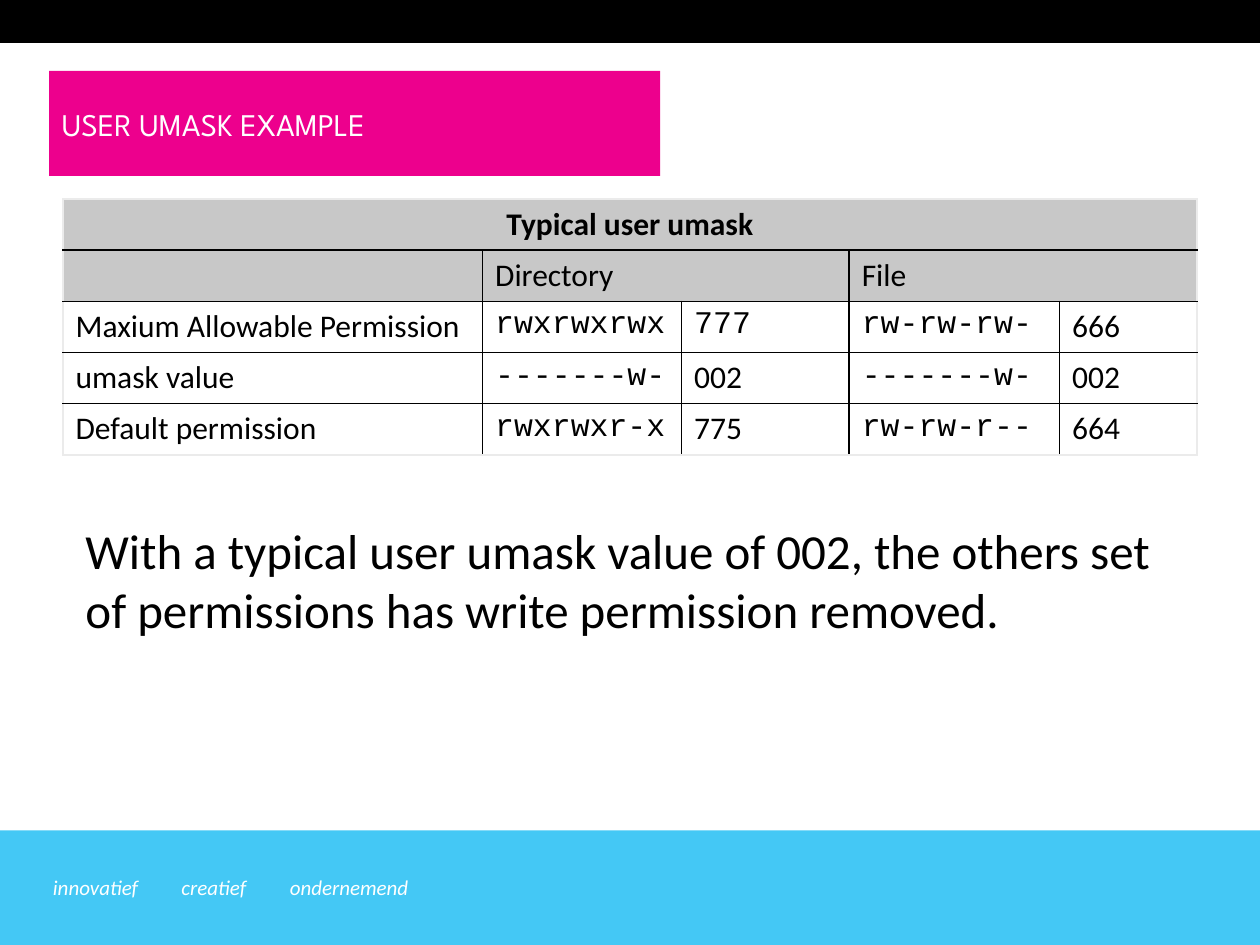
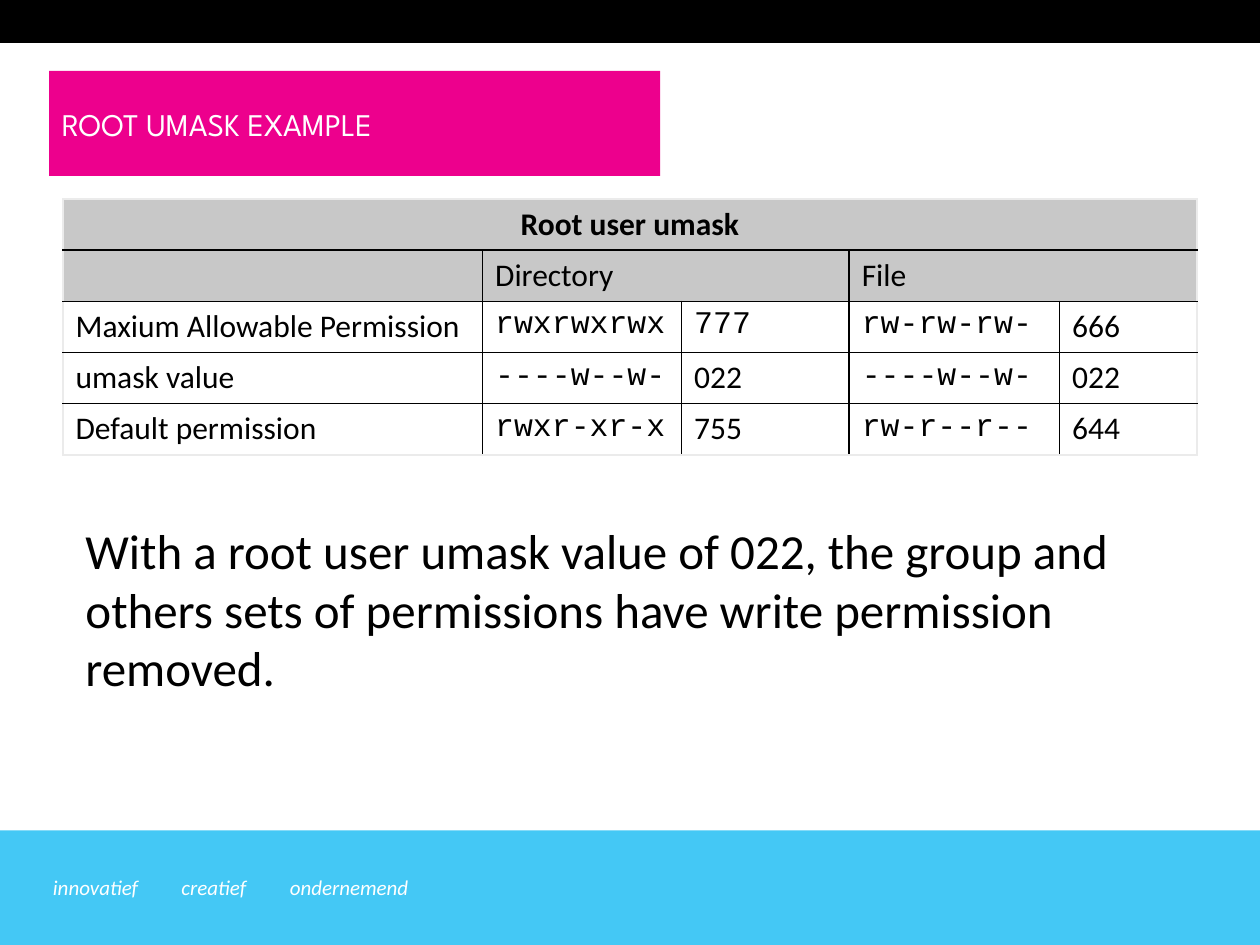
from pptx import Presentation
from pptx.dml.color import RGBColor
from pptx.enum.shapes import MSO_SHAPE
from pptx.enum.text import MSO_ANCHOR, MSO_AUTO_SIZE, PP_ALIGN
from pptx.oxml.ns import qn
from pptx.util import Inches, Pt
from lxml import etree

RECTANGLE = MSO_SHAPE.RECTANGLE
MIDDLE = MSO_ANCHOR.MIDDLE
GROW = MSO_AUTO_SIZE.SHAPE_TO_FIT_TEXT
LEFT, CENTER = PP_ALIGN.LEFT, PP_ALIGN.CENTER

COLORS = {"black": "000000", "white": "FFFFFF", "footer": "44C8F5",
          "title": "ED008D", "heading": "C8C8C8", "edge": "EBEBEB"}
SANS, MONO, DISPLAY = "Calibri", "Courier New", "League Spartan"

TITLE_BOX = (0.39, 0.78, 4.85, 0.4)
TOP_BAND = (0, 0, 10, 0.34)
FOOTER_BAND = (0, 6.59, 10, 0.91)
TABLE_BOX = (0.5, 1.58, 9, 2.03)
VALUES = [("innovatief", 0.42, 0.78), ("creatief", 1.44, 0.62),
          ("ondernemend", 2.3, 1.05)]
COLUMN_WIDTHS = [3.33, 1.58, 1.33, 1.67, 1.09]
SINGLE_SPANS = [(col, col) for col in range(5)]
ROW_SPANS = [[(0, 4)], [(0, 0), (1, 2), (3, 4)]] + [SINGLE_SPANS] * 3
ROW_LABELS = ["Maxium Allowable Permission", "umask value", "Default permission"]
MAXIMUM = ["rwxrwxrwx", "777", "rw-rw-rw-", "666"]

EXAMPLES = [
    {"title": "USER UMASK EXAMPLE", "heading": "Typical user umask",
     "permissions": [MAXIMUM,
                     ["-------w-", "002", "-------w-", "002"],
                     ["rwxrwxr-x", "775", "rw-rw-r--", "664"]],
     "summary": "With a typical user umask value of 002, the others set of "
                "permissions has write permission removed.",
     "summary_box": (0.58, 4.08, 8.92, 1.04)},
    {"title": "ROOT UMASK EXAMPLE", "heading": "Root user umask",
     "permissions": [MAXIMUM,
                     ["----w--w-", "022", "----w--w-", "022"],
                     ["rwxr-xr-x", "755", "rw-r--r--", "644"]],
     "summary": "With a root user umask value of 022, the group and others "
                "sets of permissions have write permission removed.",
     "summary_box": (0.58, 4.08, 8.92, 1.51)},
]


def rgb(name):
    """Return the named colour."""
    return RGBColor.from_string(COLORS[name])


def inches(box):
    """Convert a box of numbers to lengths."""
    return [Inches(length) for length in box]


def write(frame, text, size, font=SANS, color="black", bold=False,
          italic=False, align=LEFT):
    """Fill a text frame with one formatted paragraph."""
    frame.text = text
    paragraph = frame.paragraphs[0]
    paragraph.alignment = align
    for run in paragraph.runs:
        run.font.size = Pt(size)
        run.font.name = font
        run.font.bold = bold
        run.font.italic = italic
        run.font.color.rgb = rgb(color)


def add_band(slide, box, color):
    """Draw a full-width band."""
    band = slide.shapes.add_shape(RECTANGLE, *inches(box))
    band.shadow.inherit = False
    band.fill.solid()
    band.fill.fore_color.rgb = rgb(color)
    band.line.fill.background()


def add_text(slide, box, text, size, wrap=True, **style):
    """Add a text box that grows with its text."""
    frame = slide.shapes.add_textbox(*inches(box)).text_frame
    frame.word_wrap = wrap
    frame.auto_size = GROW
    write(frame, text, size, **style)
    return frame


def add_footer(slide, box):
    """Draw the footer band with the school's values."""
    add_band(slide, box, "footer")
    left, top, _, _ = box
    for value, offset, width in VALUES:
        frame = add_text(slide, (left + offset, top + 0.3, width, 0.3), value,
                         12, wrap=False, color="white", italic=True)
        frame.margin_left = 0


def set_title(slide, box, text):
    """Place the title on its coloured bar."""
    title = slide.shapes.title
    title.left, title.top, title.width, title.height = inches(box)
    title.fill.solid()
    title.fill.fore_color.rgb = rgb("title")
    frame = title.text_frame
    frame.word_wrap = False
    frame.auto_size = GROW
    frame.vertical_anchor = MIDDLE
    write(frame, text, 18, font=DISPLAY, color="white")
    frame.paragraphs[0].space_before = Pt(18)


def set_borders(cell, borders):
    """Draw one-point borders from a dict of side to colour name."""
    properties = cell._tc.get_or_add_tcPr()
    for side in "LRTB":
        if side in borders:
            line = etree.SubElement(properties, qn(f"a:ln{side}"), w=str(Pt(1)))
            fill = etree.SubElement(line, qn("a:solidFill"))
            etree.SubElement(fill, qn("a:srgbClr"), val=COLORS[borders[side]])


def format_span(table, row, first, last):
    """Merge a span of cells, then give it borders and fill."""
    if last > first:
        table.cell(row, first).merge(table.cell(row, last))
    last_row, last_col = len(table.rows) - 1, len(table.columns) - 1
    for col in range(first, last + 1):
        cell = table.cell(row, col)
        borders = {"T": "edge" if row == 0 else "black",
                   "B": "edge" if row == last_row else "black"}
        if col == first:
            borders["L"] = "edge" if first == 0 else "black"
        if col in (first, last):
            borders["R"] = "edge" if last == last_col else "black"
        set_borders(cell, borders)
        if row < 2:
            cell.fill.solid()
            cell.fill.fore_color.rgb = rgb("heading")
        else:
            cell.fill.background()


def add_umask_table(slide, box, heading, permissions):
    """Add the table of permissions for directories and files."""
    rows = [[heading], ["", "Directory", "File"]]
    rows += [[label] + values for label, values in zip(ROW_LABELS, permissions)]
    table = slide.shapes.add_table(len(rows), len(COLUMN_WIDTHS),
                                   *inches(box)).table
    table.first_row = table.horz_banding = False
    for column, width in zip(table.columns, COLUMN_WIDTHS):
        column.width = Inches(width)
    for row, (texts, spans) in enumerate(zip(rows, ROW_SPANS)):
        for text, (first, last) in zip(texts, spans):
            format_span(table, row, first, last)
            mono = row >= 2 and first in (1, 3) or (row, first) == (2, 2)
            write(table.cell(row, first).text_frame, text, 18,
                  font=MONO if mono else SANS, bold=row == 0,
                  align=CENTER if row == 0 else LEFT)


def add_umask_slide(deck, example):
    """Build one umask example slide."""
    slide = deck.slides.add_slide(deck.slide_layouts[5])
    add_footer(slide, FOOTER_BAND)
    add_band(slide, TOP_BAND, "black")
    set_title(slide, TITLE_BOX, example["title"])
    add_umask_table(slide, TABLE_BOX, example["heading"], example["permissions"])
    add_text(slide, example["summary_box"], example["summary"], 28)


def main():
    """Build and save the deck."""
    deck = Presentation()
    deck.slide_width, deck.slide_height = Inches(10), Inches(7.5)
    for example in EXAMPLES:
        add_umask_slide(deck, example)
    deck.save("out.pptx")


if __name__ == "__main__":
    main()
